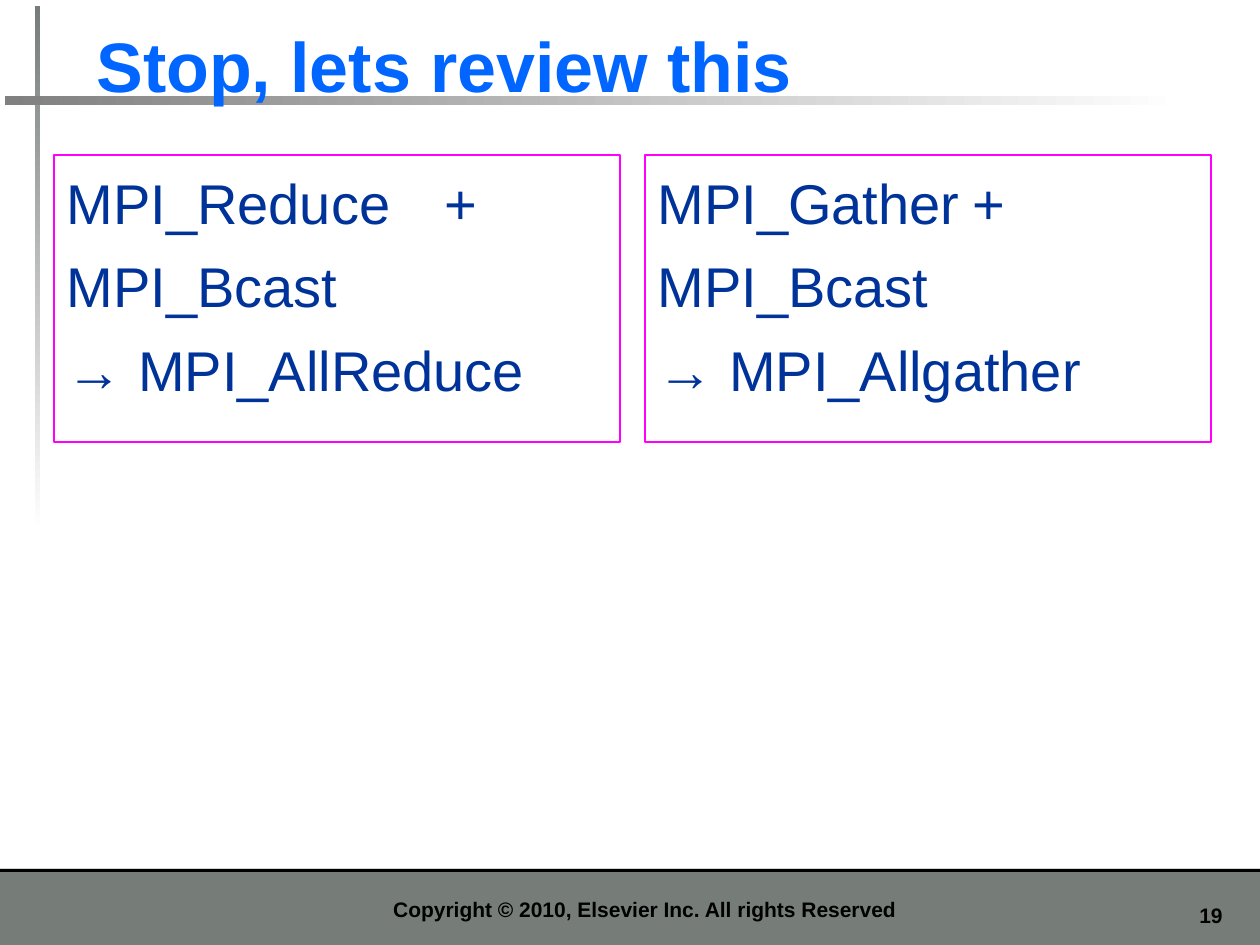
from dataclasses import dataclass

from lxml.etree import SubElement
from pptx import Presentation
from pptx.dml.color import RGBColor
from pptx.enum.shapes import MSO_SHAPE as Shape
from pptx.enum.text import MSO_ANCHOR as Anchor, MSO_AUTO_SIZE as Fit, PP_ALIGN as Align
from pptx.oxml.ns import qn
from pptx.util import Pt

SCALE = 914400 / 126  # EMU in one px
FONT = "Arial"


@dataclass
class Box:
    x: int
    y: int
    w: int
    h: int


@dataclass
class Bar:
    box: Box
    hue: str
    angle: int | None = None  # set for a fade to white


@dataclass
class Panel:
    box: Box
    tab: int
    lines: list[str]


def px(n: int) -> int:
    return round(n * SCALE)


def color(code: str) -> RGBColor:
    return RGBColor.from_string(code)


def place(shape, box: Box) -> None:
    shape.left, shape.top = px(box.x), px(box.y)
    shape.width, shape.height = px(box.w), px(box.h)


def style(para, size: int, hue: str, bold: bool = False) -> None:
    for run in para.runs:
        font = run.font
        font.name, font.size, font.bold = FONT, Pt(size), bold
        font.color.rgb = color(hue)


def draw_bar(slide, bar: Bar) -> None:
    shape = slide.shapes.add_shape(Shape.RECTANGLE, 0, 0, 0, 0)
    place(shape, bar.box)
    shape.shadow.inherit = False
    shape.line.fill.background()
    fill = shape.fill
    if bar.angle is None:
        fill.solid()
        fill.fore_color.rgb = color(bar.hue)
    else:
        fill.gradient()
        fill.gradient_angle = bar.angle
        for stop, hue in zip(fill.gradient_stops, (bar.hue, "FFFFFF")):
            stop.color.rgb = color(hue)


def draw_note(slide, box: Box, text: str, align: Align) -> None:
    note = slide.shapes.add_textbox(0, 0, 0, 0)
    place(note, box)
    frame = note.text_frame
    frame.word_wrap = True
    frame.vertical_anchor = Anchor.BOTTOM
    frame.text = text
    para = frame.paragraphs[0]
    para.alignment = align
    style(para, 12, "000000", True)


def fill_title(title, box: Box, text: str) -> None:
    place(title, box)
    frame = title.text_frame
    frame.text = text
    frame.auto_size = Fit.NONE
    frame.vertical_anchor = Anchor.BOTTOM
    para = frame.paragraphs[0]
    para.alignment = Align.LEFT
    style(para, 40, "0066FF", True)


def fill_panel(body, panel: Panel) -> None:
    place(body, panel.box)
    body.line.color.rgb = color("FF00FF")
    body.line.width = Pt(0.75)
    frame = body.text_frame
    frame.text = "\n".join(panel.lines)
    frame.auto_size = Fit.NONE
    frame.margin_top = px(13)
    for i, para in enumerate(frame.paragraphs):
        # No bullet, no indent, one tab stop for the plus sign
        props = para._p.get_or_add_pPr()
        props.set("marL", "0")
        props.set("indent", "0")
        SubElement(props, qn("a:buNone"))
        tabs = SubElement(props, qn("a:tabLst"))
        SubElement(tabs, qn("a:tab"), pos=str(px(panel.tab)), algn="l")
        para.space_before = Pt(9.5 if i else 0)
        style(para, 32, "003399")


BARS = [
    Bar(Box(0, 869, 1260, 76), "767D79"),
    Bar(Box(0, 869, 1260, 3), "000000"),
    Bar(Box(35, 6, 5, 525), "767D79", 270),
    Bar(Box(5, 96, 1180, 9), "808080", 0),
]
PANELS = [
    Panel(Box(54, 155, 566, 287), 430,
          ["MPI_Reduce\t+", "MPI_Bcast", "→ MPI_AllReduce"]),
    Panel(Box(645, 155, 566, 287), 440,
          ["MPI_Gather\t+", "MPI_Bcast", "→ MPI_Allgather"]),
]


def main() -> None:
    deck = Presentation()
    deck.slide_width, deck.slide_height = px(1260), px(945)
    slide = deck.slides.add_slide(deck.slide_layouts[3])
    title, *bodies = slide.placeholders

    # Footer band and crossing rules, kept behind the text
    for bar in BARS:
        draw_bar(slide, bar)
    tree = slide.shapes._spTree
    for holder in (title, *bodies):
        tree.append(holder._element)

    # Title and the two panels
    fill_title(title, Box(84, 16, 1142, 97), "Stop, lets review this")
    for body, panel in zip(bodies, PANELS):
        fill_panel(body, panel)

    # Footer text
    draw_note(slide, Box(144, 879, 1002, 49),
              "Copyright © 2010, Elsevier Inc. All rights Reserved", Align.CENTER)
    draw_note(slide, Box(1155, 896, 80, 38), "19", Align.RIGHT)
    deck.save("out.pptx")


if __name__ == "__main__":
    main()
